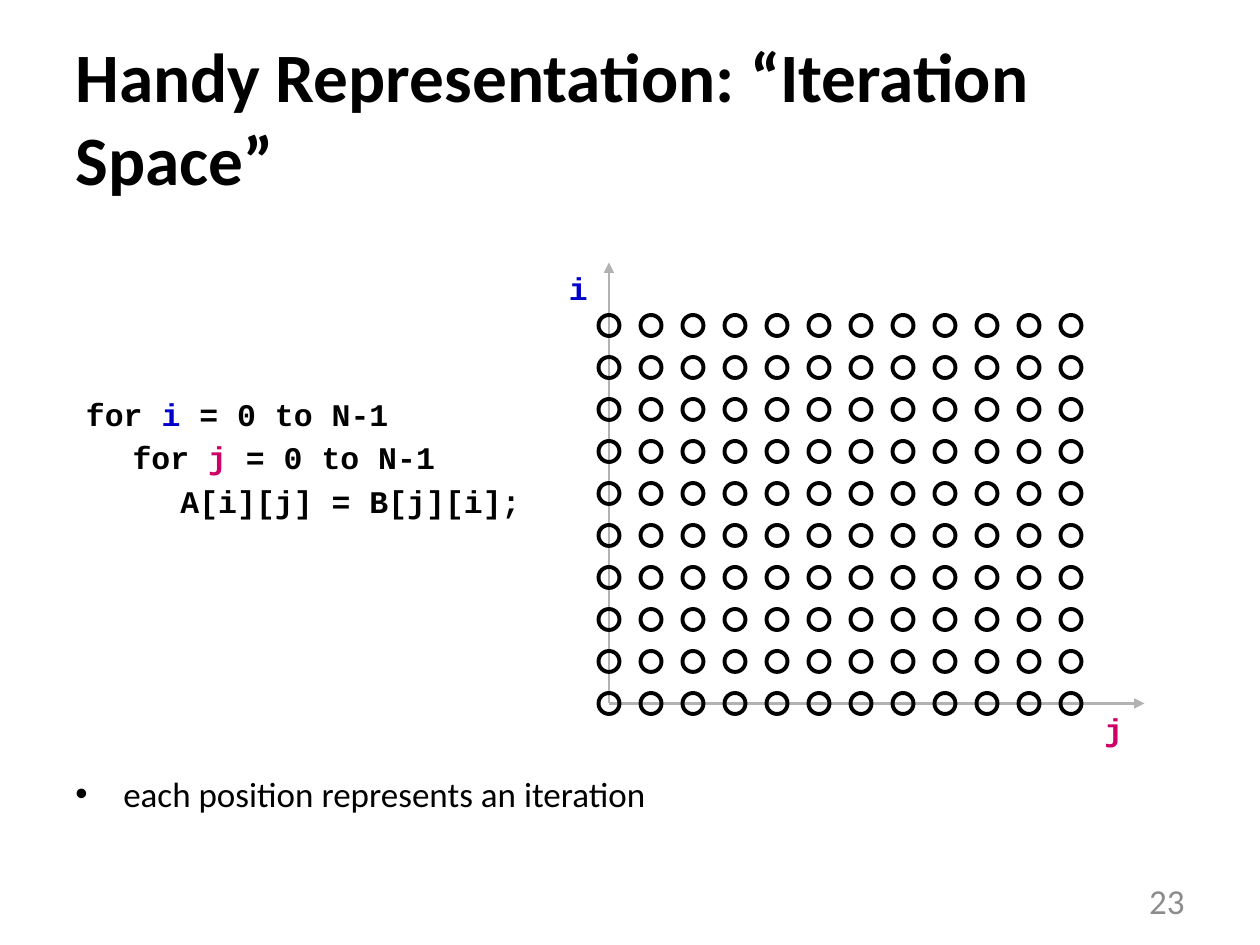
"""Build a slide showing a nested loop beside its iteration space."""
from dataclasses import dataclass
from typing import Optional

from lxml.etree import SubElement
from pptx import Presentation
from pptx.dml.color import RGBColor
from pptx.enum.shapes import MSO_CONNECTOR, MSO_SHAPE
from pptx.enum.text import MSO_ANCHOR, PP_ALIGN
from pptx.oxml.ns import qn
from pptx.shapes.shapetree import GroupShapes
from pptx.util import Emu, Inches, Pt

CELL = Inches(10) / 30
POINT_COLUMNS, POINT_ROWS = 12, 10
ORIGIN_COLUMN, ORIGIN_ROW = 14.5, 16.75
POINT_SIZE = 0.5


@dataclass(frozen=True)
class Theme:
    heading_font: str = "Calibri"
    code_font: str = "Courier New"
    black: str = "000000"
    outer_index: str = "0000CC"
    inner_index: str = "CC0066"
    axis: str = "B2B2B2"
    page_number: str = "8C8C8C"
    title_size: float = 39.6
    body_size: float = 20
    code_size: float = 18
    axis_width: float = 1.5
    point_width: float = 2.25


THEME = Theme()


@dataclass(frozen=True)
class Span:
    text: str
    color: str = THEME.black


@dataclass(frozen=True)
class TextBlock:
    column: float
    row: float
    columns: float
    rows: float
    lines: tuple[tuple[Span, ...], ...]
    size: float = THEME.body_size
    font: str = THEME.heading_font
    bold: bool = False
    anchor: MSO_ANCHOR = MSO_ANCHOR.TOP
    align: PP_ALIGN = PP_ALIGN.LEFT
    line_spacing: Optional[float] = None
    space_before: float = 0
    tabs: tuple[float, ...] = ()
    bullet: str = ""


@dataclass(frozen=True)
class CodeBlock(TextBlock):
    size: float = THEME.code_size
    font: str = THEME.code_font
    bold: bool = True
    line_spacing: Optional[float] = 0.7
    space_before: float = 9.7
    tabs: tuple[float, ...] = (0.37, 0.75)


TITLE = TextBlock(1.5, 0.9, 27, 3.75, ((Span("Handy Representation: “Iteration Space”"),),),
                  size=THEME.title_size, bold=True, anchor=MSO_ANCHOR.MIDDLE)
REMARK = TextBlock(1.5, 18.25, 26.8, 2.1, ((Span("each position represents an iteration"),),),
                   bullet="•")
LOOP = CodeBlock(1.75, 9.5, 11, 3.1, (
    (Span("for "), Span("i", THEME.outer_index), Span(" = 0 to N-1")),
    (Span("\tfor "), Span("j", THEME.inner_index), Span(" = 0 to N-1")),
    (Span("\t\tA[i][j] = B[j][i];"),),
))
AXIS_LABELS = (
    CodeBlock(13.25, 6.5, 1, 0.93, ((Span("i", THEME.outer_index),),)),
    CodeBlock(26, 17, 1, 0.93, ((Span("j", THEME.inner_index),),)),
)
PAGE_NUMBER = TextBlock(21.5, 20.85, 7, 1.2, ((Span("23", THEME.page_number),),),
                        anchor=MSO_ANCHOR.MIDDLE, align=PP_ALIGN.RIGHT)
AXIS_ENDS = ((ORIGIN_COLUMN, 6.25), (27.25, ORIGIN_ROW))


def grid(*cells: float) -> list[Emu]:
    """Turn counts of grid cells into lengths."""
    return [Emu(round(cell * CELL)) for cell in cells]


def draw_text(shapes: GroupShapes, block: TextBlock) -> None:
    """Draw a block of text, run by run."""
    box = shapes.add_textbox(*grid(block.column, block.row, block.columns, block.rows))
    frame = box.text_frame
    frame.word_wrap = True
    frame.vertical_anchor = block.anchor
    for index, spans in enumerate(block.lines):
        paragraph = frame.add_paragraph() if index else frame.paragraphs[0]
        paragraph.alignment = block.align
        paragraph.line_spacing = block.line_spacing
        paragraph.space_before = Pt(block.space_before if index else 0)
        properties = paragraph._p.get_or_add_pPr()
        if block.bullet:
            properties.set("marL", str(Inches(0.38)))
            properties.set("indent", str(-Inches(0.38)))
            SubElement(properties, qn("a:buFont"), typeface="Arial")
            SubElement(properties, qn("a:buChar"), char=block.bullet)
        if block.tabs:
            tab_list = SubElement(properties, qn("a:tabLst"))
            for position in block.tabs:
                SubElement(tab_list, qn("a:tab"), pos=str(Inches(position)), algn="l")
        for span in spans:
            run = paragraph.add_run()
            run.text = span.text
            run.font.name = block.font
            run.font.size = Pt(block.size)
            run.font.bold = block.bold
            run.font.color.rgb = RGBColor.from_string(span.color)


def draw_axis(shapes: GroupShapes, column: float, row: float) -> None:
    """Draw an arrow from the origin to a grid position."""
    axis = shapes.add_connector(MSO_CONNECTOR.STRAIGHT,
                                *grid(ORIGIN_COLUMN, ORIGIN_ROW, column, row))
    axis.line.color.rgb = RGBColor.from_string(THEME.axis)
    axis.line.width = Pt(THEME.axis_width)
    properties = axis._element.spPr
    SubElement(properties.find(qn("a:ln")), qn("a:tailEnd"), type="triangle")
    SubElement(properties, qn("a:effectLst"))


def draw_point(shapes: GroupShapes, column: float, row: float) -> None:
    """Draw one iteration as a hollow circle centred on a grid position."""
    point = shapes.add_shape(MSO_SHAPE.OVAL, *grid(
        column - POINT_SIZE / 2, row - POINT_SIZE / 2, POINT_SIZE, POINT_SIZE))
    point.shadow.inherit = False
    point.fill.background()
    point.line.color.rgb = RGBColor.from_string(THEME.black)
    point.line.width = Pt(THEME.point_width)


def main() -> None:
    """Build and save the slide."""
    presentation = Presentation()
    presentation.slide_width, presentation.slide_height = grid(30, 22.5)
    slide = presentation.slides.add_slide(presentation.slide_layouts[6])
    for block in (TITLE, REMARK, LOOP):
        draw_text(slide.shapes, block)
    iteration_space = slide.shapes.add_group_shape().shapes
    for column, row in AXIS_ENDS:
        draw_axis(iteration_space, column, row)
    for label in AXIS_LABELS:
        draw_text(iteration_space, label)
    for row in range(POINT_ROWS):
        for column in range(POINT_COLUMNS):
            draw_point(iteration_space, ORIGIN_COLUMN + column, ORIGIN_ROW - row)
    draw_text(slide.shapes, PAGE_NUMBER)
    presentation.save("out.pptx")


if __name__ == "__main__":
    main()
